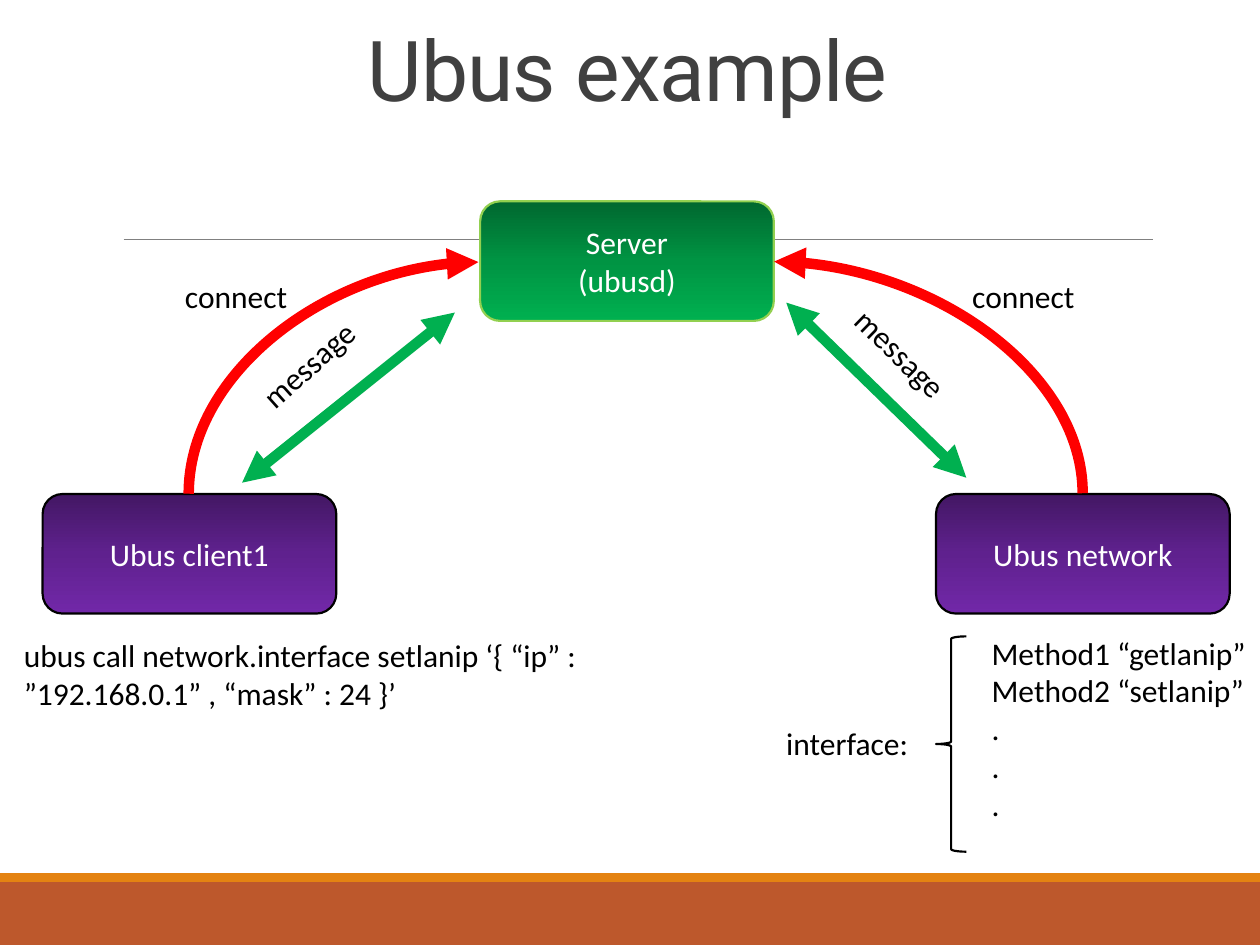
import copy

import pptx
import pptx.dml.color
import pptx.enum.shapes
import pptx.enum.text
import pptx.oxml.ns
import pptx.util
from lxml import etree

Cm = pptx.util.Cm
Pt = pptx.util.Pt
RGB = pptx.dml.color.RGBColor.from_string
qn = pptx.oxml.ns.qn
SHAPES = pptx.enum.shapes.MSO_SHAPE
CONNECTORS = pptx.enum.shapes.MSO_CONNECTOR
ALIGN = pptx.enum.text.PP_ALIGN
ANCHOR = pptx.enum.text.MSO_ANCHOR

COLORS = {
    "title": "404040", "text": "000000", "white": "FFFFFF",
    "footer": "BD582C", "footer edge": "E48312", "rule": "808080",
    "connect": "FF0000", "message": "00B050", "server line": "92D050",
}
SERVER_GRADIENT = ["00682F", "009443", "00B050"]
CLIENT_GRADIENT = ["431764", "5F218E", "7128A8"]


def format_text(text_frame, color, size=18, font="Calibri", alignment=ALIGN.LEFT):
    for paragraph in text_frame.paragraphs:
        paragraph.alignment = alignment
        for run in paragraph.runs:
            run.font.name = font
            run.font.size = Pt(size)
            run.font.color.rgb = RGB(COLORS[color])


def add_line(kind, start, end, color, width, arrow_ends=()):
    connector = slide.shapes.add_connector(kind, *map(Cm, start + end))
    connector.line.color.rgb = RGB(COLORS[color])
    connector.line.width = Pt(width)
    properties = connector._element.spPr
    for arrow_end in arrow_ends:
        etree.SubElement(properties.find(qn("a:ln")), qn(arrow_end), type="triangle")
    etree.SubElement(properties, qn("a:effectLst"))
    return connector


presentation = pptx.Presentation()
presentation.slide_width = Cm(25.4)
presentation.slide_height = Cm(19.05)
slide = presentation.slides.add_slide(presentation.slide_layouts[5])

for top, height, color in [(17.78, 1.27, "footer"), (17.6, 0.18, "footer edge")]:
    band = slide.shapes.add_shape(SHAPES.RECTANGLE, 0, Cm(top), Cm(25.4), Cm(height))
    band.shadow.inherit = False
    band.fill.solid()
    band.fill.fore_color.rgb = RGB(COLORS[color])
    band.line.fill.background()

add_line(CONNECTORS.STRAIGHT, (2.49, 4.83), (23.24, 4.83), "rule", 0.5)

title = slide.shapes.title
title.left, title.top, title.width, title.height = map(Cm, (0.74, 0.51, 23.83, 2.01))
title.text_frame.text = "Ubus example"
title.text_frame.auto_size = pptx.enum.text.MSO_AUTO_SIZE.NONE
title.text_frame.vertical_anchor = ANCHOR.BOTTOM
format_text(title.text_frame, "title", 48, "Roboto", ALIGN.CENTER)
title.text_frame.paragraphs[0].line_spacing = 0.85
title.text_frame.paragraphs[0].runs[0].font._element.set("spc", "-50")

nodes = [
    ("Server\n(ubusd)", 9.68, 4.06, SERVER_GRADIENT, "server line"),
    ("Ubus client1", 0.86, 9.96, CLIENT_GRADIENT, "text"),
    ("Ubus network", 18.87, 9.96, CLIENT_GRADIENT, "text"),
]
for text, left, top, gradient, line_color in nodes:
    node = slide.shapes.add_shape(
        SHAPES.FLOWCHART_ALTERNATE_PROCESS, Cm(left), Cm(top), Cm(5.92), Cm(2.41))
    node.shadow.inherit = False
    node.fill.gradient()
    node.fill.gradient_angle = 270
    first_stop = node._element.spPr.find(".//" + qn("a:gs"))
    first_stop.addnext(copy.deepcopy(first_stop))
    for index, stop in enumerate(node.fill.gradient_stops):
        stop.position = index / 2
        stop.color.rgb = RGB(gradient[index])
    node.line.color.rgb = RGB(COLORS[line_color])
    node.line.width = Pt(1.25)
    node.text_frame.text = text
    node.text_frame.vertical_anchor = ANCHOR.MIDDLE
    format_text(node.text_frame, "white", alignment=ALIGN.CENTER)

connections = [
    ((9.06, 10.54), (4.39, 4.7), 90),
    ((16.38, 10.72), (21.05, 4.5), 270),
]
for start, end, rotation in connections:
    curve = add_line(CONNECTORS.CURVE, start, end, "connect", 6, ["a:tailEnd"])
    curve._element.spPr.find(qn("a:xfrm")).set("rot", str(rotation * 60000))
    curve._element.spPr.find(qn("a:prstGeom")).set("prst", "curvedConnector2")

for start, end in [((9.17, 6.3), (4.88, 9.73)), ((15.85, 6.1), (19.48, 9.63))]:
    add_line(CONNECTORS.STRAIGHT, start, end, "message", 6, ["a:headEnd", "a:tailEnd"])

labels = [
    ("connect", 3.48, 5.46, 6.22, 1.02, 0),
    ("connect", 19.35, 5.46, 6.22, 1.02, 0),
    ("message", 5.97, 5.38, 1.27, 3.56, 228.2),
    ("message", 17.73, 5.72, 1.27, 3.56, 314.4),
    ("interface:", 15.6, 14.48, 3.28, 1.02, 0),
    ("Method1 “getlanip”\nMethod2 “setlanip”\n.\n.\n.", 19.74, 12.65, 5.87, 5.64, 0),
    ("ubus call network.interface setlanip ‘{ “ip” : ”192.168.0.1” , “mask” : 24 }’",
     0.23, 12.7, 11.73, 1.8, 0),
]
for text, left, top, width, height, rotation in labels:
    label = slide.shapes.add_textbox(Cm(left), Cm(top), Cm(width), Cm(height))
    label.text_frame.word_wrap = True
    label.text_frame.text = text
    format_text(label.text_frame, "text")
    if rotation:
        label.rotation = rotation
        label.text_frame._element.find(qn("a:bodyPr")).set("vert", "eaVert")

brace = slide.shapes.add_shape(SHAPES.LEFT_BRACE, Cm(18.87), Cm(12.83), Cm(0.61), Cm(4.34))
brace.shadow.inherit = False
brace.fill.background()
brace.line.color.rgb = RGB(COLORS["text"])
brace.line.width = Pt(1.25)

presentation.save("out.pptx")
